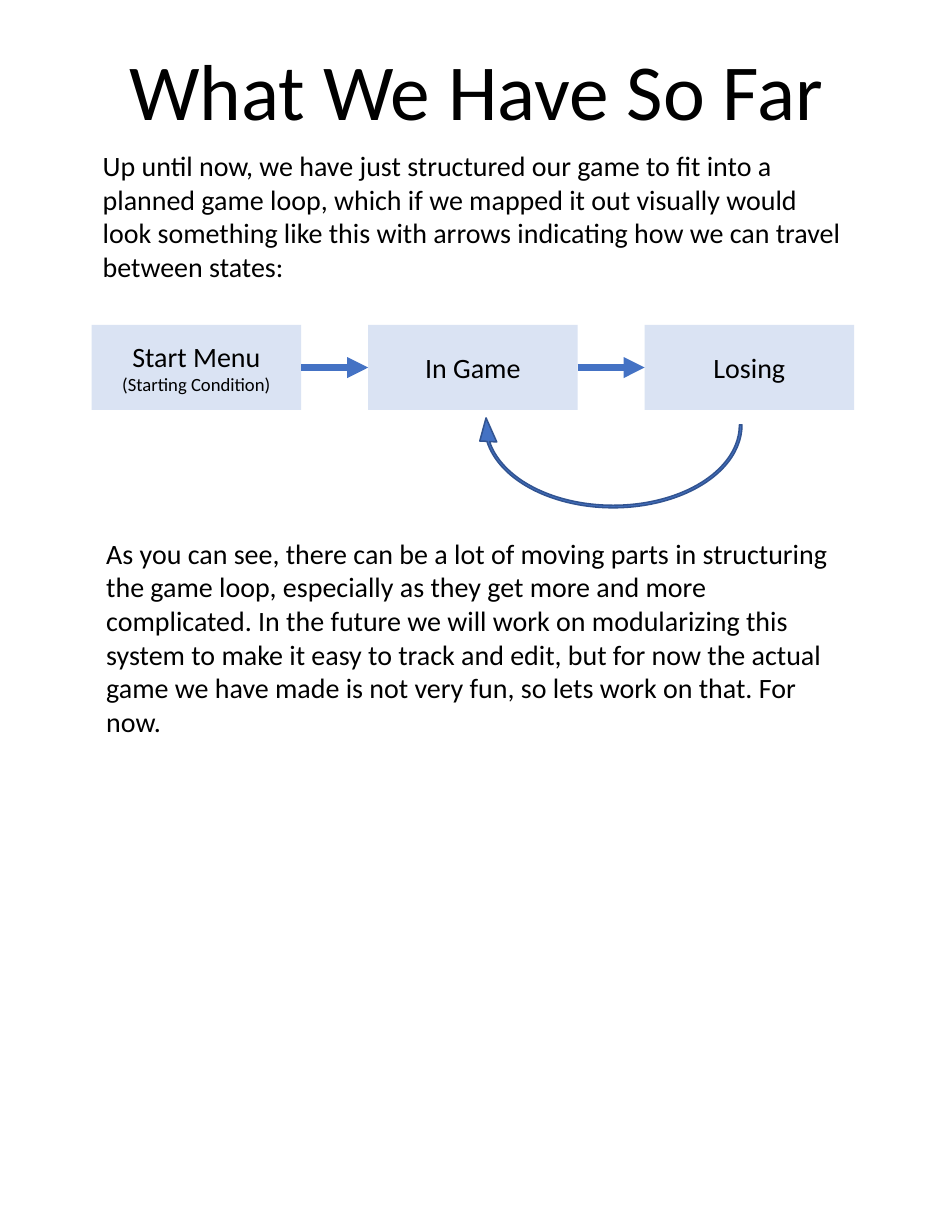
from dataclasses import dataclass

from lxml import etree
from pptx import Presentation
from pptx import util as u
from pptx.dml.color import RGBColor
from pptx.enum import shapes, text
from pptx.oxml import ns


@dataclass(frozen=True)
class Theme:
    font: str = "Calibri"
    ink: RGBColor = RGBColor(0x00, 0x00, 0x00)
    box: RGBColor = RGBColor(0xDA, 0xE3, 0xF3)
    arrow: RGBColor = RGBColor(0x44, 0x72, 0xC4)
    outline: RGBColor = RGBColor(0x32, 0x54, 0x91)
    title: int = 51
    body: int = 18
    note: int = 12


theme = Theme()


def add_run(p, words, size):
    r = p.add_run()
    r.text = words
    r.font.name = theme.font
    r.font.size = u.Pt(size)
    r.font.color.rgb = theme.ink


prs = Presentation()
prs.slide_width, prs.slide_height = u.Cm(21.59), u.Cm(27.94)
s = prs.slides.add_slide(prs.slide_layouts[5])

title = s.shapes.title
title.left, title.top, title.width, title.height = u.Cm(1.63), u.Cm(0.33), u.Cm(18.34), u.Cm(2.92)
tf = title.text_frame
tf.auto_size = text.MSO_AUTO_SIZE.NONE
tf.vertical_anchor = text.MSO_ANCHOR.BOTTOM
p = tf.paragraphs[0]
p.alignment = text.PP_ALIGN.CENTER
p.line_spacing = 0.9
add_run(p, "What We Have So Far", theme.title)

passages = [
    (2.08, 3.25, 3.33,
     "Up until now, we have just structured our game to fit into a planned game loop, "
     "which if we mapped it out visually would look something like this with arrows "
     "indicating how we can travel between states:"),
    (2.16, 12.04, 4.88,
     "As you can see, there can be a lot of moving parts in structuring the game loop, "
     "especially as they get more and more complicated. In the future we will work on "
     "modularizing this system to make it easy to track and edit, but for now the actual "
     "game we have made is not very fun, so lets work on that. For now."),
]
for left, top, height, words in passages:
    sp = s.shapes.add_textbox(u.Cm(left), u.Cm(top), u.Cm(17.27), u.Cm(height))
    tf = sp.text_frame
    tf.word_wrap = True
    tf.auto_size = text.MSO_AUTO_SIZE.SHAPE_TO_FIT_TEXT
    add_run(tf.paragraphs[0], words, theme.body)

states = [
    [("Start Menu", theme.body), ("(Starting Condition)", theme.note)],
    [("In Game", theme.body)],
    [("Losing", theme.body)],
]
box_left, box_top, box_width, box_height, gap = 2.08, 7.37, 4.75, 1.93, 1.52
for i, lines in enumerate(states):
    left = box_left + i * (box_width + gap)
    sp = s.shapes.add_shape(shapes.MSO_SHAPE.RECTANGLE, u.Cm(left), u.Cm(box_top),
                            u.Cm(box_width), u.Cm(box_height))
    sp.shadow.inherit = False
    sp.fill.solid()
    sp.fill.fore_color.rgb = theme.box
    sp.line.fill.background()
    tf = sp.text_frame
    tf.vertical_anchor = text.MSO_ANCHOR.MIDDLE
    for j, (words, size) in enumerate(lines):
        p = tf.add_paragraph() if j else tf.paragraphs[0]
        p.alignment = text.PP_ALIGN.CENTER
        add_run(p, words, size)
    if i:
        y = u.Cm(box_top + box_height / 2)
        link = s.shapes.add_connector(shapes.MSO_CONNECTOR.STRAIGHT,
                                      u.Cm(left - gap), y, u.Cm(left), y)
        link.line.color.rgb = theme.arrow
        link.line.width = u.Pt(4.5)
        etree.SubElement(link.line._get_or_add_ln(), ns.qn("a:tailEnd"), type="triangle")
        etree.SubElement(link._element.spPr, ns.qn("a:effectLst"))

loop = s.shapes.add_shape(shapes.MSO_SHAPE.CIRCULAR_ARROW,
                          u.Cm(10.82), u.Cm(7.59), u.Cm(6.17), u.Cm(4.09))
loop.rotation = 180
for i, value in enumerate([0.014, 6.412, 211.462, 108, 0.047]):
    loop.adjustments[i] = value
loop.shadow.inherit = False
loop.fill.solid()
loop.fill.fore_color.rgb = theme.arrow
loop.line.color.rgb = theme.outline
loop.line.width = u.Pt(1)

prs.save("out.pptx")
